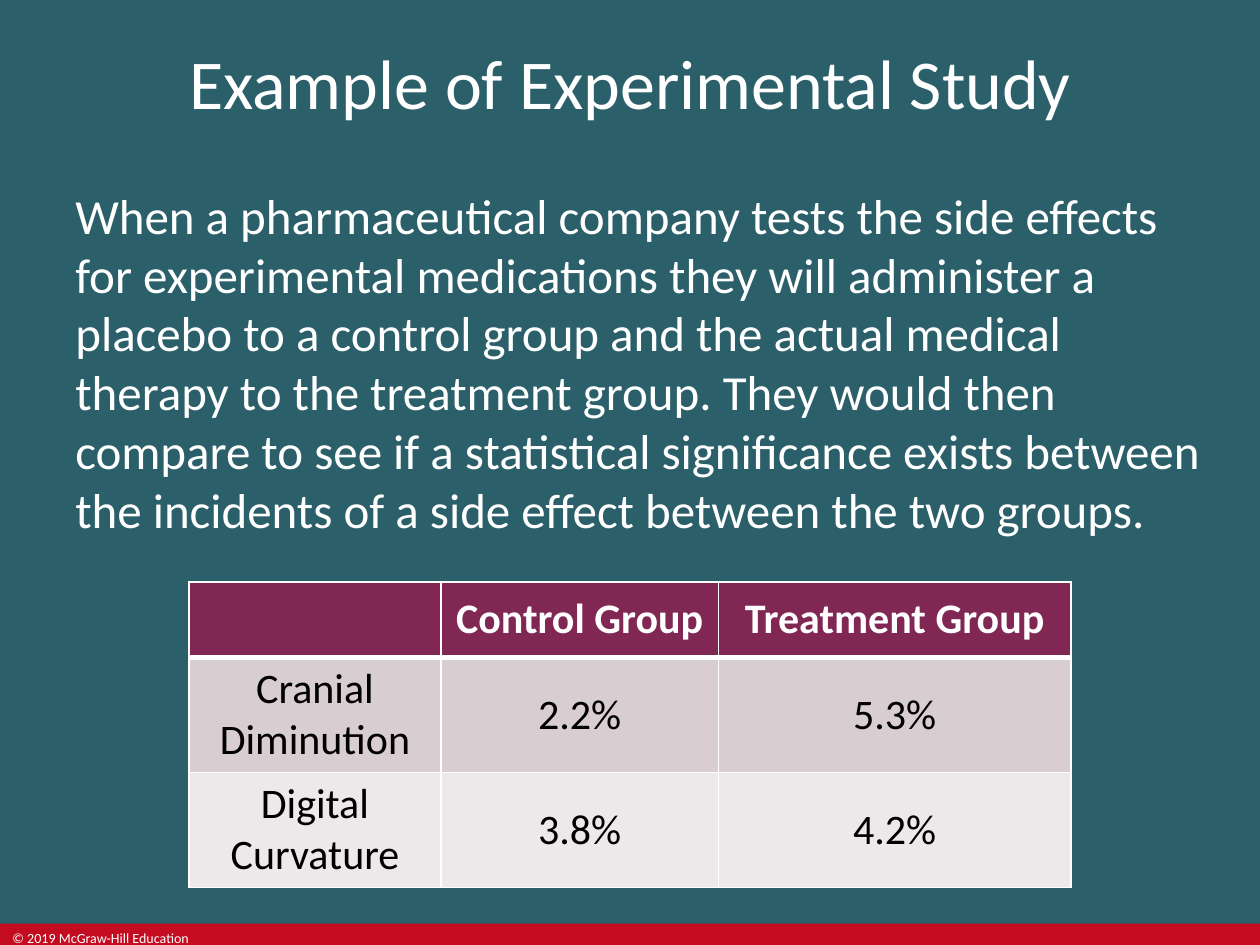
from dataclasses import dataclass

from lxml import etree
from pptx import Presentation
from pptx.dml.color import RGBColor
from pptx.enum.shapes import MSO_SHAPE
from pptx.enum.text import MSO_ANCHOR, MSO_AUTO_SIZE, PP_ALIGN
from pptx.oxml.ns import qn
from pptx.util import Cm, Pt

RECTANGLE = MSO_SHAPE.RECTANGLE
TOP, MIDDLE = MSO_ANCHOR.TOP, MSO_ANCHOR.MIDDLE
LEFT, CENTER = PP_ALIGN.LEFT, PP_ALIGN.CENTER
NO_AUTOFIT = MSO_AUTO_SIZE.NONE
TITLE_ONLY = 5


@dataclass(frozen=True)
class Theme:
    font: str = "Calibri"
    background: str = "2B606A"
    footer: str = "C30C20"
    light: str = "FFFFFF"
    dark: str = "000000"
    header: str = "802754"
    bands: tuple = ("D8CDD1", "EDE8E9")
    title_size: int = 40
    body_size: int = 28
    table_size: int = 24
    footer_size: int = 8
    thin: int = 1
    thick: int = 3


class SlideBuilder:
    def __init__(self, slide, theme):
        self.slide = slide
        self.theme = theme

    def background(self):
        self.fill(self.slide.background, self.theme.background)

    def fill(self, target, color):
        target.fill.solid()
        target.fill.fore_color.rgb = RGBColor.from_string(color)

    def set_text(self, text_frame, text, size, color, alignment=LEFT, bold=False):
        text_frame.text = text
        paragraph = text_frame.paragraphs[0]
        paragraph.alignment = alignment
        for run in paragraph.runs:
            font = run.font
            font.name, font.size, font.bold = self.theme.font, Pt(size), bold
            font.color.rgb = RGBColor.from_string(color)

    def title(self, text, *box):
        shape = self.slide.shapes.title
        shape.left, shape.top, shape.width, shape.height = map(Cm, box)
        shape.text_frame.vertical_anchor = MIDDLE
        shape.text_frame.auto_size = NO_AUTOFIT
        self.set_text(shape.text_frame, text, self.theme.title_size, self.theme.light, CENTER)

    def text(self, text, size, *box):
        text_frame = self.slide.shapes.add_textbox(*map(Cm, box)).text_frame
        text_frame.word_wrap = True
        text_frame.auto_size = NO_AUTOFIT
        text_frame.vertical_anchor = TOP
        self.set_text(text_frame, text, size, self.theme.light)

    def bar(self, color, *box):
        shape = self.slide.shapes.add_shape(RECTANGLE, *map(Cm, box))
        shape.shadow.inherit = False
        self.fill(shape, color)
        shape.line.fill.background()

    def borders(self, cell, top, bottom):
        properties = cell._tc.get_or_add_tcPr()
        widths = {"a:lnL": self.theme.thin, "a:lnR": self.theme.thin,
                  "a:lnT": top, "a:lnB": bottom}
        # Border lines come before the cell fill
        for position, (tag, width) in enumerate(widths.items()):
            line = etree.Element(qn(tag), w=str(Pt(width)))
            solid = etree.SubElement(line, qn("a:solidFill"))
            etree.SubElement(solid, qn("a:srgbClr"), val=self.theme.light)
            properties.insert(position, line)

    def table(self, rows, left, top, column_widths, row_heights):
        theme = self.theme
        table = self.slide.shapes.add_table(
            len(rows), len(column_widths), Cm(left), Cm(top),
            Cm(sum(column_widths)), Cm(sum(row_heights))).table
        for column, width in zip(table.columns, column_widths):
            column.width = Cm(width)
        for row, height in zip(table.rows, row_heights):
            row.height = Cm(height)
        for i, values in enumerate(rows):
            is_header = i == 0
            fill = theme.header if is_header else theme.bands[(i - 1) % 2]
            color = theme.light if is_header else theme.dark
            for j, value in enumerate(values):
                cell = table.cell(i, j)
                cell.vertical_anchor = MIDDLE
                self.set_text(cell.text_frame, value, theme.table_size, color, CENTER, is_header)
                self.fill(cell, fill)
                self.borders(cell, theme.thick if i == 1 else theme.thin,
                             theme.thick if is_header else theme.thin)


def main():
    presentation = Presentation()
    presentation.slide_width, presentation.slide_height = Cm(25.4), Cm(19.05)
    slide = presentation.slides.add_slide(presentation.slide_layouts[TITLE_ONLY])
    theme = Theme()
    builder = SlideBuilder(slide, theme)
    builder.background()

    # Footer bar with the copyright line
    builder.bar(theme.footer, 0, 18.62, 25.4, 0.43)
    builder.text("© 2019 McGraw-Hill Education", theme.footer_size, 0, 18.62, 4.32, 0.43)

    # Title and explanation
    builder.title("Example of Experimental Study", 0, 0, 25.4, 3.3)
    builder.text(
        "When a pharmaceutical company tests the side effects for experimental "
        "medications they will administer a placebo to a control group and the "
        "actual medical therapy to the treatment group. They would then compare "
        "to see if a statistical significance exists between the incidents of a "
        "side effect between the two groups.",
        theme.body_size, 1.27, 3.61, 23.37, 14.6)

    # Side effects by group
    builder.table(
        [["", "Control Group", "Treatment Group"],
         ["Cranial Diminution", "2.2%", "5.3%"],
         ["Digital Curvature", "3.8%", "4.2%"]],
        3.81, 11.73, [5.08, 5.59, 7.11], [1.52, 2.31, 2.31])

    presentation.save("out.pptx")


if __name__ == "__main__":
    main()
